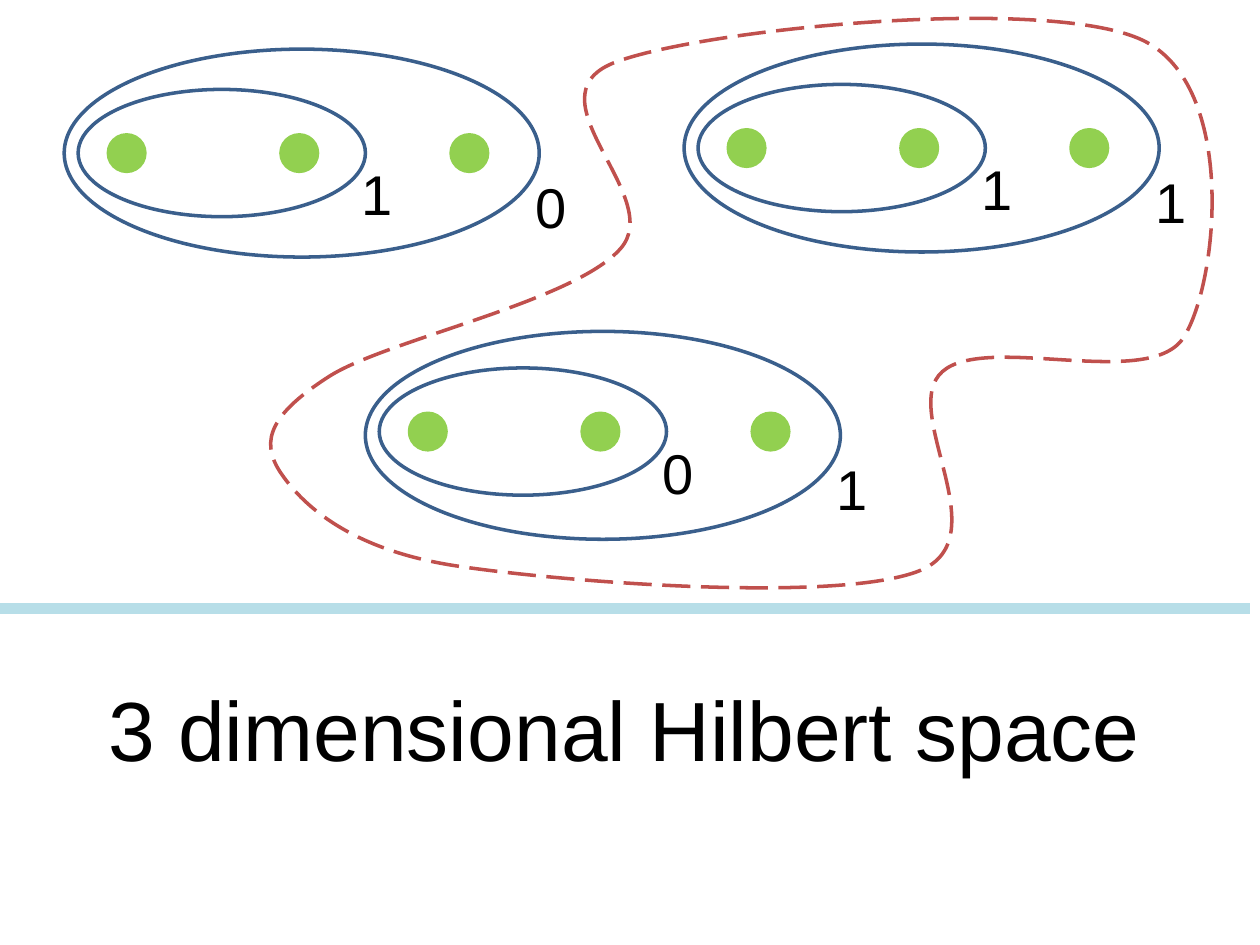
from lxml import etree
from pptx import Presentation
from pptx.dml.color import RGBColor
from pptx.enum.dml import MSO_LINE
from pptx.enum.shapes import MSO_CONNECTOR, MSO_SHAPE
from pptx.enum.text import MSO_ANCHOR, MSO_AUTO_SIZE, PP_ALIGN
from pptx.oxml.ns import qn
from pptx.util import Inches, Pt

OVAL = MSO_SHAPE.OVAL
LINE = MSO_CONNECTOR.STRAIGHT
DASH = MSO_LINE.LONG_DASH
LEFT = PP_ALIGN.LEFT
COLORS = {"dot": "92D050", "ring": "3A5F8C", "rule": "B7DEE8",
          "loop": "C0504D", "text": "000000"}
FRAME = {"word_wrap": False, "auto_size": MSO_AUTO_SIZE.SHAPE_TO_FIT_TEXT,
         "vertical_anchor": MSO_ANCHOR.TOP,
         "margin_left": Inches(0.1), "margin_right": Inches(0.1),
         "margin_top": Inches(0.05), "margin_bottom": Inches(0.05)}

DOTS = (0.35, 1.72, 3.07)
STATES = [
    (2.90, 2.63, "0", "1", 0.03),
    (0.51, 0.39, "1", "0", 0),
    (5.43, 0.35, "1", "1", 0),
]
START = (2.61, 2.99)
CURVES = [
    (3.06, 2.70), (4.54, 2.40), (4.92, 1.98),
    (5.30, 1.57), (4.18, 0.78), (4.87, 0.50),
    (5.56, 0.23), (8.31, -0.04), (9.07, 0.32),
    (9.82, 0.68), (9.67, 2.23), (9.40, 2.67),
    (9.14, 3.11), (7.83, 2.64), (7.48, 2.95),
    (7.13, 3.26), (7.94, 4.27), (7.30, 4.53),
    (6.65, 4.79), (4.46, 4.62), (3.61, 4.49),
    (2.77, 4.36), (2.39, 4.00), (2.22, 3.74),
    (2.06, 3.49), (2.16, 3.28), START,
]


def color(name):
    return RGBColor.from_string(COLORS[name])


class Board:
    def __init__(self, slide):
        self.slide = slide
        self.shapes = slide.shapes

    def stroke(self, shape, name, width=2):
        shape.line.color.rgb = color(name)
        shape.line.width = Pt(width)

    def oval(self, x, y, w, h, name, solid=False):
        shape = self.shapes.add_shape(OVAL, *map(Inches, (x, y, w, h)))
        shape.shadow.inherit = False
        if solid:
            shape.fill.solid()
            shape.fill.fore_color.rgb = color(name)
        else:
            shape.fill.background()
        self.stroke(shape, name)

    def letter(self, shape, text, size):
        frame = shape.text_frame
        frame.text = text
        for key, value in FRAME.items():
            setattr(frame, key, value)
        para = frame.paragraphs[0]
        para.alignment = LEFT
        for key, value in {"name": "Arial", "size": Pt(size)}.items():
            setattr(para.font, key, value)
        para.font.color.rgb = color("text")

    def label(self, x, y, text):
        box = self.shapes.add_textbox(*map(Inches, (x, y, 0.45, 0.63)))
        self.letter(box, text, 32)

    def title(self, x, y, w, h, text):
        shape = self.slide.shapes.title
        places = zip(("left", "top", "width", "height"), (x, y, w, h))
        for key, value in places:
            setattr(shape, key, Inches(value))
        self.letter(shape, text, 48)

    def state(self, x, y, near, far, lift):
        self.shapes = self.slide.shapes.add_group_shape().shapes
        for step in DOTS:
            self.oval(x + step, y + 0.68 - lift, 0.29, 0.29, "dot", True)
        self.oval(x + 0.11, y + 0.32 - lift, 2.28, 1.01, "ring")
        self.label(x + 2.26, y + 0.83 - lift, near)
        self.oval(x, y, 3.77, 1.65, "ring")
        self.label(x + 3.64, y + 0.93, far)
        self.shapes = self.slide.shapes

    def rule(self, x, y, end):
        line = self.shapes.add_connector(
            LINE, *map(Inches, (x, y, end, y)))
        self.stroke(line, "rule", 6)
        etree.SubElement(line._element.spPr, qn("a:effectLst"))

    def loop(self, start, points):
        pen = self.shapes.build_freeform(*map(Inches, start))
        pen.add_line_segments(
            [tuple(map(Inches, point)) for point in points], close=True)
        shape = pen.convert_to_shape()
        shape.shadow.inherit = False
        shape.fill.background()
        self.stroke(shape, "loop")
        shape.line.dash_style = DASH
        steps = list(shape._element.iter(qn("a:lnTo")))
        for i in range(0, len(steps), 3):
            curve = steps[i]
            curve.tag = qn("a:cubicBezTo")
            for step in steps[i + 1:i + 3]:
                curve.append(step[0])
                step.getparent().remove(step)


def main():
    deck = Presentation()
    deck.slide_width, deck.slide_height = Inches(10), Inches(7.5)
    board = Board(deck.slides.add_slide(deck.slide_layouts[5]))
    for state in STATES:
        board.state(*state)
    board.rule(0, 4.83, 9.92)
    board.title(0.76, 5.33, 8.48, 0.91, "3 dimensional Hilbert space")
    board.loop(START, CURVES)
    deck.save("out.pptx")


if __name__ == "__main__":
    main()
